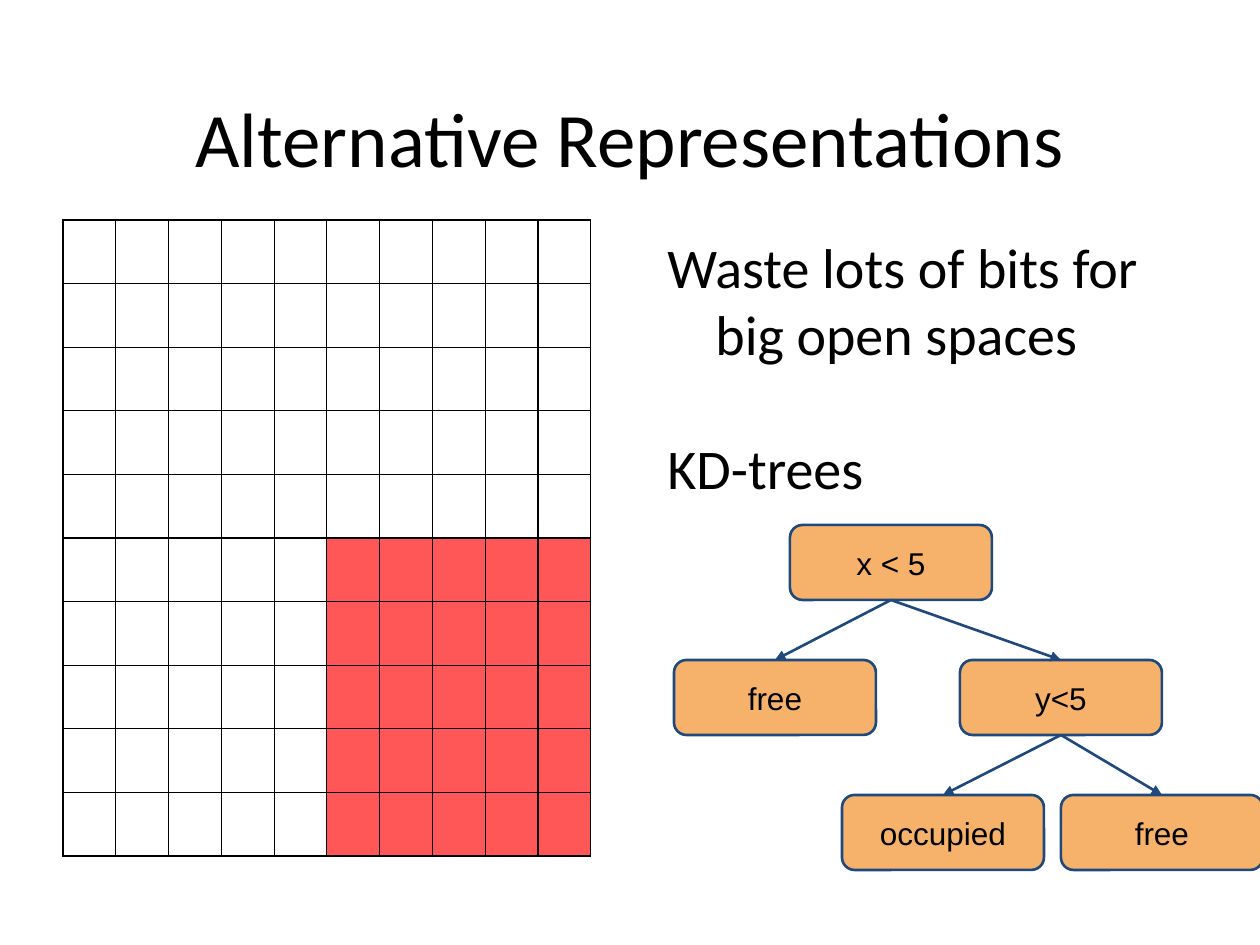
import pptx
import pptx.util
import pptx.dml.color
import pptx.enum.shapes
import pptx.enum.text
import pptx.oxml
import pptx.oxml.ns

RGB = pptx.dml.color.RGBColor
BLACK = RGB(0x00, 0x00, 0x00)
RED = RGB(0xFF, 0x00, 0x00)
ORANGE = RGB(0xF6, 0xB2, 0x6B)
NAVY = RGB(0x1F, 0x49, 0x7D)

PX_PER_INCH = 126
INSET = 0.1  # inches
GRID_SIZE = 10
OCCUPIED_FROM = 5


def px(length):
    return pptx.util.Emu(round(length * 914400 / PX_PER_INCH))


def xml(markup):
    """Parse one DrawingML element."""
    return pptx.oxml.parse_xml(
        markup.replace(" ", f" {pptx.oxml.ns.nsdecls('a')} ", 1))


class SlideBuilder:
    heading_font = "Calibri"
    node_font = "Arial"
    line_width = pptx.util.Pt(1.5)

    def __init__(self, slide):
        self.slide = slide

    def add_run(self, paragraph, text, size, font):
        run = paragraph.add_run()
        run.text = text
        run.font.size = pptx.util.Pt(size)
        run.font.name = font
        run.font.color.rgb = BLACK

    def frame(self, shape, anchor):
        text_frame = shape.text_frame
        text_frame.word_wrap = True
        text_frame.vertical_anchor = anchor
        for side in ("left", "top", "right", "bottom"):
            setattr(text_frame, f"margin_{side}", pptx.util.Inches(INSET))
        return text_frame

    def title(self, text, left, top, width, height):
        heading = self.slide.shapes.title
        heading.left, heading.top = px(left), px(top)
        heading.width, heading.height = px(width), px(height)
        text_frame = self.frame(heading, pptx.enum.text.MSO_ANCHOR.BOTTOM)
        paragraph = text_frame.paragraphs[0]
        paragraph.alignment = pptx.enum.text.PP_ALIGN.CENTER
        self.add_run(paragraph, text, 44, self.heading_font)

    def points(self, texts, left, top, width, height):
        box = self.slide.shapes.add_textbox(
            px(left), px(top), px(width), px(height))
        text_frame = self.frame(box, pptx.enum.text.MSO_ANCHOR.TOP)
        for index, text in enumerate(texts):
            paragraph = text_frame.add_paragraph() if index else text_frame.paragraphs[0]
            if index:
                paragraph.space_before = pptx.util.Pt(38)
            hanging = px(48)
            properties = paragraph._p.get_or_add_pPr()
            properties.set("marL", str(hanging))
            properties.set("indent", str(-hanging))
            self.add_run(paragraph, text, 32, self.heading_font)

    def grid(self, left, top, width, height):
        table = self.slide.shapes.add_table(
            GRID_SIZE, GRID_SIZE, px(left), px(top), px(width), px(height)).table
        table.first_row = table.horz_banding = False
        for row in range(GRID_SIZE):
            for column in range(GRID_SIZE):
                occupied = min(row, column) >= OCCUPIED_FROM
                self.style_cell(table.cell(row, column), occupied)

    def style_cell(self, cell, occupied):
        properties = cell._tc.get_or_add_tcPr()
        for side in "LRTB":
            properties.append(xml(
                f'<a:ln{side} w="{pptx.util.Pt(0.75)}"><a:solidFill>'
                f'<a:srgbClr val="{BLACK}"/></a:solidFill></a:ln{side}>'))
        if occupied:
            cell.fill.solid()
            cell.fill.fore_color.rgb = RED
            color = properties.find(".//" + pptx.oxml.ns.qn("a:srgbClr") + f"[@val='{RED}']")
            color.append(xml('<a:alpha val="66000"/>'))
        else:
            cell.fill.background()

    def node(self, text, left, top):
        box = self.slide.shapes.add_shape(
            pptx.enum.shapes.MSO_SHAPE.ROUNDED_RECTANGLE,
            px(left), px(top), px(202), px(75))
        box.shadow.inherit = False
        box.fill.solid()
        box.fill.fore_color.rgb = ORANGE
        box.line.color.rgb = NAVY
        box.line.width = self.line_width
        text_frame = self.frame(box, pptx.enum.text.MSO_ANCHOR.MIDDLE)
        paragraph = text_frame.paragraphs[0]
        paragraph.alignment = pptx.enum.text.PP_ALIGN.CENTER
        self.add_run(paragraph, text, 18, self.node_font)
        return box

    def branch(self, parent, child):
        arrow = self.slide.shapes.add_connector(
            pptx.enum.shapes.MSO_CONNECTOR.STRAIGHT, 0, 0, 0, 0)
        arrow.begin_connect(parent, 2)
        arrow.end_connect(child, 0)
        arrow.line.color.rgb = NAVY
        arrow.line.width = self.line_width
        arrow.line._get_or_add_ln().append(xml('<a:tailEnd type="triangle"/>'))
        arrow._element.spPr.append(xml("<a:effectLst />"))


def main():
    presentation = pptx.Presentation()
    presentation.slide_width = pptx.util.Inches(10)
    presentation.slide_height = pptx.util.Inches(7.5)
    builder = SlideBuilder(
        presentation.slides.add_slide(presentation.slide_layouts[5]))

    # Title and points
    builder.title("Alternative Representations", 63, 38, 1134, 158)
    builder.points(["Waste lots of bits for big open spaces", "KD-trees"],
                   655, 220, 542, 684)

    # Occupancy grid with the occupied quarter in red
    builder.grid(63, 220, 528, 636)

    # KD-tree: three levels at an equal distance
    level_tops = [525 + 135 * level for level in range(3)]
    split_x = builder.node("x < 5", 790, level_tops[0])
    free_left = builder.node("free", 674, level_tops[1])
    split_y = builder.node("y<5", 960, level_tops[1])
    occupied = builder.node("occupied", 842, level_tops[2])
    free_right = builder.node("free", 1061, level_tops[2])
    for parent, child in [(split_x, free_left), (split_x, split_y),
                          (split_y, occupied), (split_y, free_right)]:
        builder.branch(parent, child)

    presentation.save("out.pptx")


if __name__ == "__main__":
    main()
